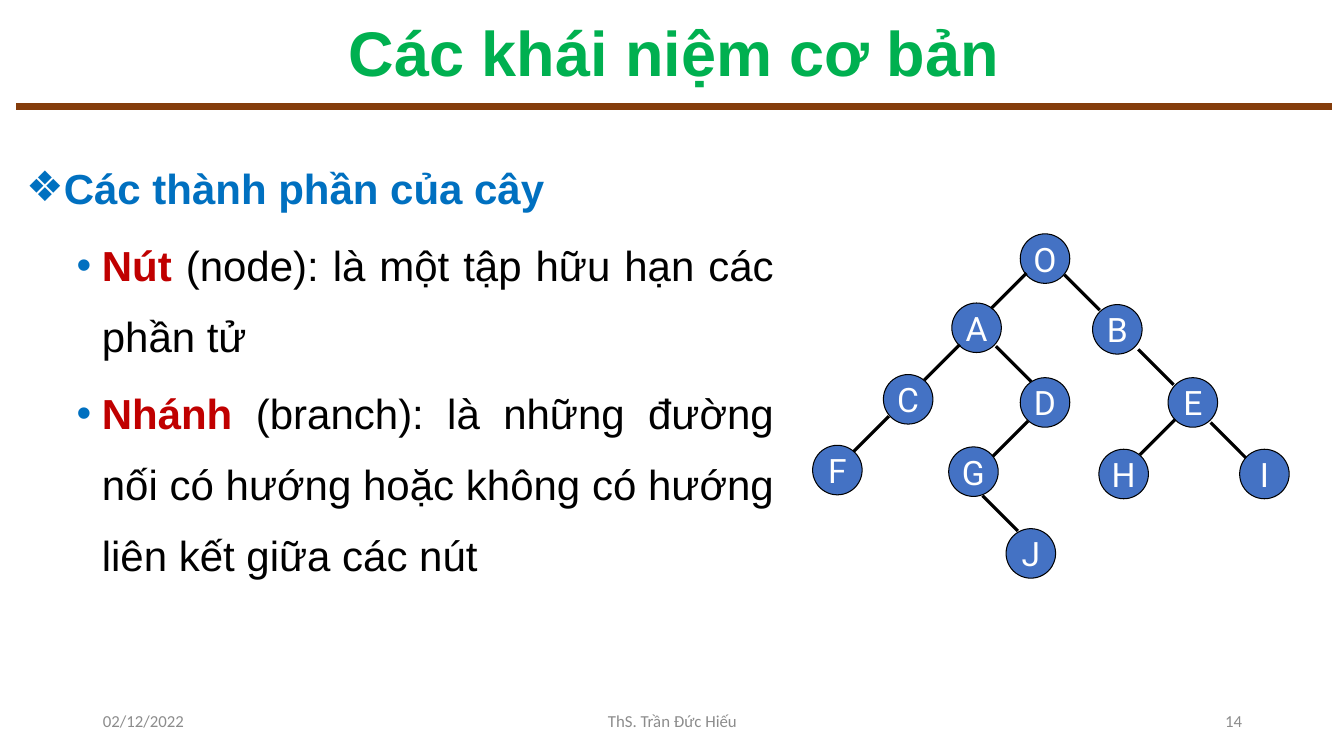
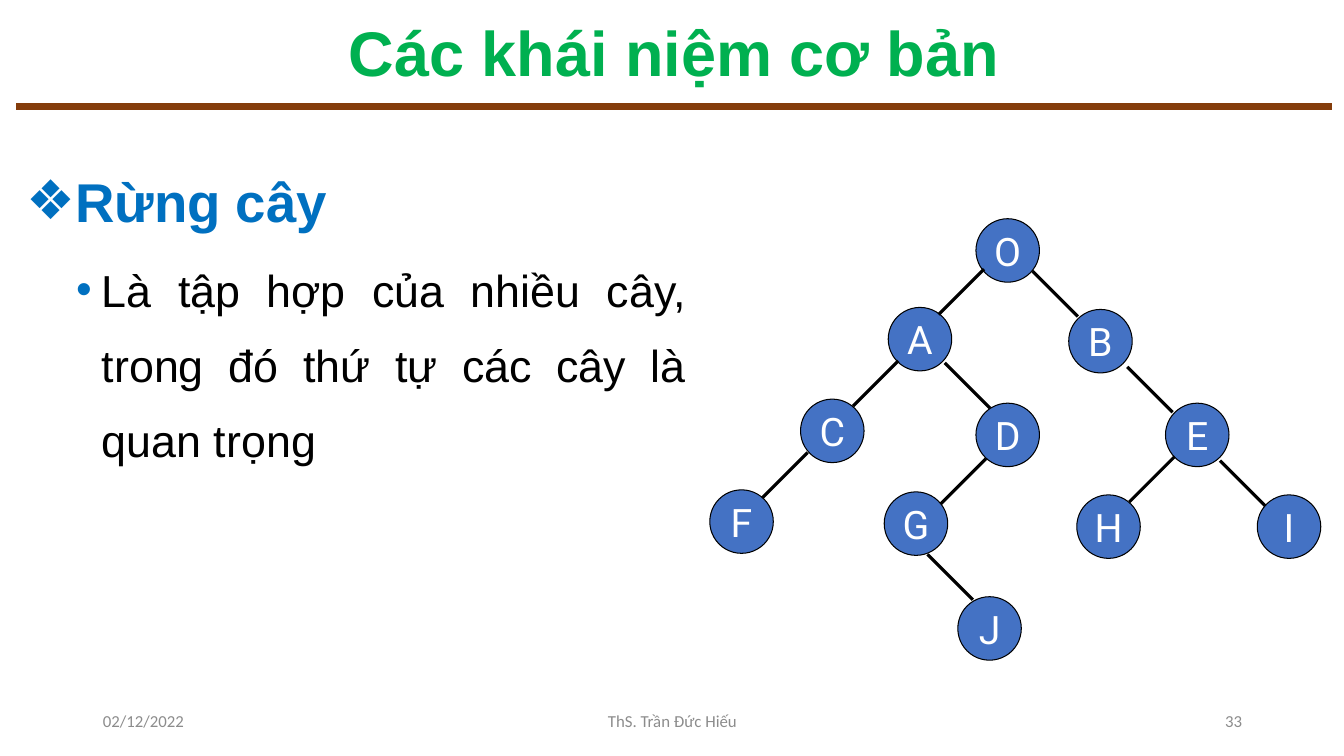
from copy import deepcopy
from dataclasses import dataclass

from lxml import etree
from pptx import Presentation
from pptx.dml.color import RGBColor
from pptx.enum import shapes, text
from pptx.oxml import ns
from pptx.util import Inches, Pt


# Colours, fonts and sizes
@dataclass(frozen=True)
class Theme:
    title: str = "00B050"
    head: str = "0070C0"
    term: str = "C00000"
    ink: str = "000000"
    rule: str = "843C0B"
    foot: str = "8C8C8C"
    node: str = "4472C4"
    label: str = "FFFFFF"
    font: str = "Arial"
    small: str = "Calibri"
    round: str = "Roboto"
    big: int = 45
    tiny: int = 12


@dataclass(frozen=True)
class Node:
    name: str
    x: float
    y: float


@dataclass(frozen=True)
class Edge:
    x: float
    y: float
    way: int  # -1 goes down left, 1 goes down right


@dataclass(frozen=True)
class Tree:
    x: float
    y: float
    scale: float
    size: int


@dataclass(frozen=True)
class Item:
    term: str
    rest: str


@dataclass(frozen=True)
class Page:
    num: str
    width: float
    head: str
    hsize: int
    size: int
    items: tuple[Item, ...]
    tree: Tree


@dataclass(frozen=True)
class Level:
    char: str
    left: float
    before: int


@dataclass(frozen=True)
class Foot:
    x: float
    width: float
    align: text.PP_ALIGN


T = Theme()
TITLE = "Các khái niệm cơ bản"
DATE = "02/12/2022"
AUTHOR = "ThS. Trần Đức Hiếu"
ALIGN = text.PP_ALIGN
LEFT, WIDE = 0.16, 13.05
HANG = 0.25
LEVELS = (Level("❖", 0.25, 0), Level("•", 0.75, 5))
FEET = (Foot(0.92, 3, ALIGN.LEFT), Foot(4.42, 4.5, ALIGN.CENTER),
        Foot(9.42, 3, ALIGN.RIGHT))

# Tree at full scale, from its top left corner
DISC, STEP = 0.63, 0.45
NODES = (
    Node("O", 2.64, 0), Node("A", 1.77, 0.88), Node("B", 3.56, 0.9),
    Node("C", 0.9, 1.79), Node("D", 2.64, 1.83), Node("E", 4.52, 1.83),
    Node("F", 0, 2.69), Node("G", 1.73, 2.71), Node("H", 3.64, 2.74),
    Node("I", 5.43, 2.74), Node("J", 2.46, 3.75),
)
EDGES = (
    Edge(2.72, 0.5, -1), Edge(1.87, 1.41, -1), Edge(0.97, 2.32, -1),
    Edge(2.74, 2.38, -1), Edge(4.61, 2.36, -1), Edge(3.2, 0.52, 1),
    Edge(4.14, 1.47, 1), Edge(5.06, 2.4, 1), Edge(2.16, 3.33, 1),
    Edge(2.33, 1.43, 1),
)

PAGES = (
    Page("14", 7.62, "Các thành phần của cây", 30, 30, (
        Item("Nút", " (node): là một tập hữu hạn các phần tử"),
        Item("Nhánh", " (branch): là những đường nối có hướng hoặc "
                      "không có hướng liên kết giữa các nút"),
    ), Tree(8.06, 2.32, 0.78, 24)),
    Page("33", 6.75, "Rừng cây", 39, 32, (
        Item("", "Là tập hợp của nhiều cây, trong đó thứ tự các cây "
                 "là quan trọng"),
    ), Tree(7.04, 2.17, 1, 28)),
)


def style(obj, form: dict) -> None:
    for key, val in form.items():
        setattr(obj, key, val)


def place(shape, x: float, y: float, w: float, h: float) -> None:
    style(shape, {"left": Inches(x), "top": Inches(y),
                  "width": Inches(w), "height": Inches(h)})


def write(par, words: str, size: int, color: str, font: str = T.font,
          bold: bool = False) -> None:
    run = par.add_run()
    run.text = words
    style(run.font, {"size": Pt(size), "name": font, "bold": bold})
    run.font.color.rgb = RGBColor.from_string(color)


def link(group, x: float, y: float, x2: float, y2: float,
         color: str, width: float):
    line = group.add_connector(shapes.MSO_CONNECTOR.STRAIGHT, Inches(x),
                               Inches(y), Inches(x2), Inches(y2))
    line.line.color.rgb = RGBColor.from_string(color)
    line.line.width = Pt(width)
    props = line.element.find(ns.qn("p:spPr"))
    etree.SubElement(props, ns.qn("a:effectLst"))
    return line


def bullet(par, rank: int) -> None:
    level = LEVELS[rank]
    style(par, {"level": rank, "alignment": ALIGN.JUSTIFY,
                "line_spacing": 1.4, "space_before": Pt(level.before)})
    props = par._p.get_or_add_pPr()
    props.set("marL", str(Inches(level.left)))
    props.set("indent", str(-Inches(HANG)))
    tint = etree.SubElement(props, ns.qn("a:buClr"))
    etree.SubElement(tint, ns.qn("a:srgbClr"), val=T.head)
    etree.SubElement(props, ns.qn("a:buFont"), typeface=T.font)
    etree.SubElement(props, ns.qn("a:buChar"), char=level.char)


def title(slide) -> None:
    shape = slide.shapes.title
    place(shape, LEFT, 0.15, WIDE, 0.81)
    frame = shape.text_frame
    style(frame, {"vertical_anchor": text.MSO_ANCHOR.MIDDLE,
                  "auto_size": text.MSO_AUTO_SIZE.NONE})
    par = frame.paragraphs[0]
    style(par, {"alignment": ALIGN.CENTER, "line_spacing": 0.9})
    write(par, TITLE, T.big, T.title, bold=True)


def body(slide, page: Page) -> None:
    shape = slide.placeholders[1]
    place(shape, LEFT, 1.36, page.width, 6.05)
    frame = shape.text_frame
    frame.auto_size = text.MSO_AUTO_SIZE.NONE
    par = frame.paragraphs[0]
    bullet(par, 0)
    write(par, page.head, page.hsize, T.head, bold=True)
    for item in page.items:
        par = frame.add_paragraph()
        bullet(par, 1)
        if item.term:
            write(par, item.term, page.size, T.term, bold=True)
        write(par, item.rest, page.size, T.ink)


def footer(slide, num: str) -> None:
    marks = [p for p in slide.slide_layout.placeholders
             if p.placeholder_format.idx >= 10]
    for mark, foot, words in zip(marks, FEET, (DATE, AUTHOR, num)):
        slide.shapes.element.append(deepcopy(mark.element))
        shape = slide.shapes[-1]
        place(shape, foot.x, 6.95, foot.width, 0.4)
        frame = shape.text_frame
        frame.text = ""
        frame.vertical_anchor = text.MSO_ANCHOR.MIDDLE
        par = frame.paragraphs[0]
        par.alignment = foot.align
        write(par, words, T.tiny, T.foot, T.small)


def draw(slide, tree: Tree) -> None:
    group = slide.shapes.add_group_shape().shapes

    def spot(x: float, y: float) -> tuple[float, float]:
        return tree.x + x * tree.scale, tree.y + y * tree.scale

    side = Inches(DISC * tree.scale)
    for node in NODES:
        x, y = spot(node.x, node.y)
        disc = group.add_shape(shapes.MSO_SHAPE.OVAL, Inches(x), Inches(y),
                               side, side)
        disc.shadow.inherit = False
        disc.fill.solid()
        disc.fill.fore_color.rgb = RGBColor.from_string(T.node)
        disc.line.color.rgb = RGBColor.from_string(T.ink)
        disc.line.width = Pt(0.75)
        frame = disc.text_frame
        style(frame, {"word_wrap": False,
                      "vertical_anchor": text.MSO_ANCHOR.MIDDLE})
        par = frame.paragraphs[0]
        par.alignment = ALIGN.CENTER
        write(par, node.name, tree.size, T.label, T.round)
    for edge in EDGES:
        end = spot(edge.x + edge.way * STEP, edge.y + STEP)
        link(group, *spot(edge.x, edge.y), *end, T.ink, 2.25)


def main() -> None:
    prs = Presentation()
    style(prs, {"slide_width": Inches(13.33), "slide_height": Inches(7.5)})
    layout = prs.slide_layouts[1]
    for page in PAGES:
        slide = prs.slides.add_slide(layout)
        title(slide)
        body(slide, page)
        footer(slide, page.num)
        draw(slide, page.tree)
    # Rule under the title, moved to the shared layout
    rule = link(prs.slides[0].shapes, LEFT, 1.06, LEFT + WIDE, 1.06, T.rule, 5)
    layout.shapes.element.append(rule.element)
    prs.save("out.pptx")


if __name__ == "__main__":
    main()
